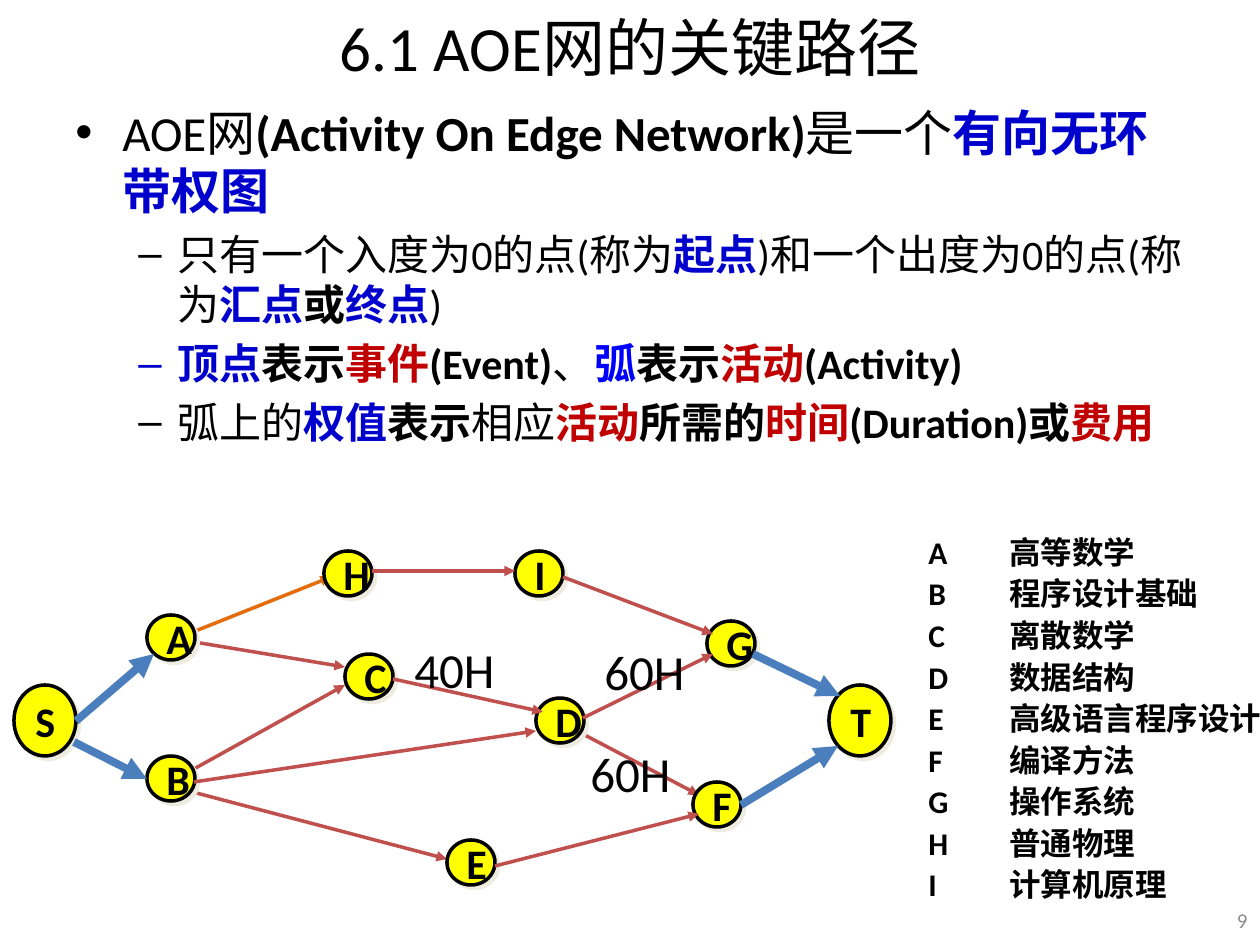
from dataclasses import dataclass

from lxml import etree
from pptx import Presentation
from pptx.dml.color import RGBColor
from pptx.enum import shapes, text
from pptx.oxml.ns import qn
from pptx.util import Emu, Pt

PX = 914400 // 126


@dataclass(frozen=True)
class Theme:
    font: str = "Calibri"
    ink: str = "000000"
    term: str = "0000CC"
    arc: str = "0000FF"
    accent: str = "C00000"
    muted: str = "8C8C8C"
    node: str = "FFFF00"
    shadow: str = "EEECE1"
    edge: str = "C0504D"
    elective: str = "E46C0A"
    hub: str = "4B7EBC"
    title: int = 36
    body: int = 28
    sub: int = 24
    legend: int = 18
    number: int = 12


THEME = Theme()


def px(*lengths):
    return [Emu(length * PX) for length in lengths]


def child(parent, tag, **attributes):
    element = etree.SubElement(parent, qn(tag))
    for key, value in attributes.items():
        element.set(key, str(value))
    return element


def add_run(paragraph, words, size, color=THEME.ink, bold=False):
    run = paragraph.add_run()
    run.text = words
    run.font.name = THEME.font
    run.font.size = Pt(size)
    run.font.bold = bold
    run.font.color.rgb = RGBColor.from_string(color)


def add_box(parent, box, wrap=True, anchor=text.MSO_ANCHOR.TOP):
    frame = parent.add_textbox(*px(*box)).text_frame
    frame.word_wrap = wrap
    frame.vertical_anchor = anchor
    return frame


def add_line(parent, box, words, size, align, color=THEME.ink):
    """A single centred or aligned line, in the middle of its box."""
    paragraph = add_box(parent, box, anchor=text.MSO_ANCHOR.MIDDLE).paragraphs[0]
    paragraph.alignment = align
    add_run(paragraph, words, size, color)


def hang(paragraph, margin, indent):
    properties = paragraph._p.get_or_add_pPr()
    properties.set("marL", str(margin * PX))
    properties.set("indent", str(indent * PX))
    return properties


def add_definition(parent, box, points):
    frame = add_box(parent, box)
    for index, runs in enumerate(points):
        paragraph = frame.add_paragraph() if index else frame.paragraphs[0]
        # The first point is the definition, the rest are its details
        size, margin, indent, mark = (
            (THEME.sub, 102, -39, "–") if index else (THEME.body, 47, -47, "•"))
        paragraph.space_before = Pt(size * 0.2)
        properties = hang(paragraph, margin, indent)
        child(properties, "a:buFont", typeface="Arial")
        child(properties, "a:buChar", char=mark)
        for words, color, bold in runs:
            add_run(paragraph, words, size, color, bold)


def add_arrow(parent, origin, ends, color, weight=2):
    left, top = origin
    x1, y1, x2, y2 = ends
    arrow = parent.add_connector(
        shapes.MSO_CONNECTOR.STRAIGHT,
        *px(left + x1, top + y1, left + x2, top + y2))
    arrow.line.color.rgb = RGBColor.from_string(color)
    arrow.line.width = Pt(weight)
    child(arrow.line._get_or_add_ln(), "a:tailEnd", type="triangle")
    child(arrow._element.spPr, "a:effectLst")


def add_node(parent, origin, place, size, name):
    left, top = origin
    node = parent.add_shape(
        shapes.MSO_SHAPE.OVAL, *px(left + place[0], top + place[1], *size))
    node.fill.solid()
    node.fill.fore_color.rgb = RGBColor.from_string(THEME.node)
    node.line.color.rgb = RGBColor.from_string(THEME.ink)
    node.line.width = Pt(2)
    node.shadow.inherit = False
    effects = node._element.spPr.find(qn("a:effectLst"))
    shadow = child(effects, "a:outerShdw", dist=Pt(2.8), dir=45 * 60000,
                   algn="ctr", rotWithShape=0)
    child(shadow, "a:srgbClr", val=THEME.shadow)
    frame = node.text_frame
    frame.word_wrap = False
    frame.vertical_anchor = text.MSO_ANCHOR.MIDDLE
    frame.paragraphs[0].alignment = text.PP_ALIGN.LEFT
    add_run(frame.paragraphs[0], name, THEME.sub, bold=True)


def add_network(parent, origin):
    courses = parent.add_group_shape().shapes
    # Edges whose ends are tucked under the nodes
    for ends in [(577, 191, 699, 255), (181, 249, 447, 319),
                 (194, 229, 345, 145), (188, 101, 345, 127)]:
        add_arrow(courses, origin, ends, THEME.edge)
    add_arrow(courses, origin, (188, 94, 331, 37), THEME.elective)
    # Course nodes
    places = {"H": (324, 11), "C": (345, 114), "E": (447, 300),
              "D": (536, 158), "I": (515, 11), "F": (693, 242),
              "G": (707, 81), "A": (147, 75), "B": (147, 216)}
    for name, place in places.items():
        add_node(courses, origin, place, (48, 45), name)
    # Edges over the nodes
    for ends in [(372, 31, 515, 31), (393, 139, 543, 172),
                 (194, 242, 536, 191), (563, 37, 713, 94),
                 (583, 178, 713, 114), (495, 326, 699, 274)]:
        add_arrow(courses, origin, ends, THEME.edge)
    # Source and sink with their heavy arrows
    for name, x in (("S", 14), ("T", 829)):
        add_node(parent, origin, (x, 145), (62, 71), name)
    for ends in [(76, 181, 154, 114), (74, 202, 147, 239),
                 (753, 114, 840, 156), (741, 265, 838, 206)]:
        add_arrow(parent, origin, ends, THEME.hub, 4.5)
    # Durations
    for hours, x, y in (("40H", 402, 93), ("60H", 592, 95), ("60H", 578, 197)):
        box = (origin[0] + x, origin[1] + y, 107, 72)
        frame = add_box(parent, box, wrap=False)
        add_run(frame.paragraphs[0], hours, THEME.body)


def add_legend(parent, box, courses):
    frame = add_box(parent, box)
    frame.margin_right = 0
    for index, (letter, course) in enumerate(zip("ABCDEFGHI", courses)):
        paragraph = frame.add_paragraph() if index else frame.paragraphs[0]
        paragraph.line_spacing = 1.1
        tabs = child(hang(paragraph, 95, -81), "a:tabLst")
        child(tabs, "a:tab", pos=95 * PX, algn="l")
        add_run(paragraph, f"{letter}\t{course}", THEME.legend, bold=True)


def main():
    deck = Presentation()
    deck.slide_width, deck.slide_height = px(1260, 945)
    parts = deck.slides.add_slide(deck.slide_layouts[6]).shapes
    ink, term, accent = THEME.ink, THEME.term, THEME.accent

    add_line(parts, (63, -4, 1134, 100), "6.1 AOE网的关键路径",
             THEME.title, text.PP_ALIGN.CENTER)
    add_definition(parts, (63, 96, 1134, 849), [
        [("AOE网", ink, False), ("(Activity On Edge Network)", ink, True),
         ("是一个", ink, False), ("有向无环带权图", term, True)],
        [("只有一个入度为0的点(称为", ink, False), ("起点", term, True),
         (")和一个出度为0的点(称为", ink, False), ("汇点", term, True),
         ("或", ink, True), ("终点", term, True), (")", ink, False)],
        [("顶点", term, True), ("表示", ink, True), ("事件", accent, True),
         ("(Event)", ink, True), ("、", ink, False), ("弧", THEME.arc, True),
         ("表示", ink, True), ("活动", accent, True),
         ("(Activity)", ink, True)],
        [("弧上的", ink, False), ("权值", term, True), ("表示", ink, True),
         ("相应", ink, False), ("活动", accent, True), ("所需的", ink, True),
         ("时间", accent, True), ("(Duration)或", ink, True),
         ("费用", accent, True)],
    ])
    add_network(parts, (0, 540))
    add_legend(parts, (902, 523, 372, 391), [
        "高等数学", "程序设计基础", "离散数学", "数据结构", "高级语言程序设计",
        "编译方法", "操作系统", "普通物理", "计算机原理"])
    add_line(parts, (1206, 895, 54, 50), "9", THEME.number,
             text.PP_ALIGN.RIGHT, THEME.muted)
    deck.save("out.pptx")


if __name__ == "__main__":
    main()
